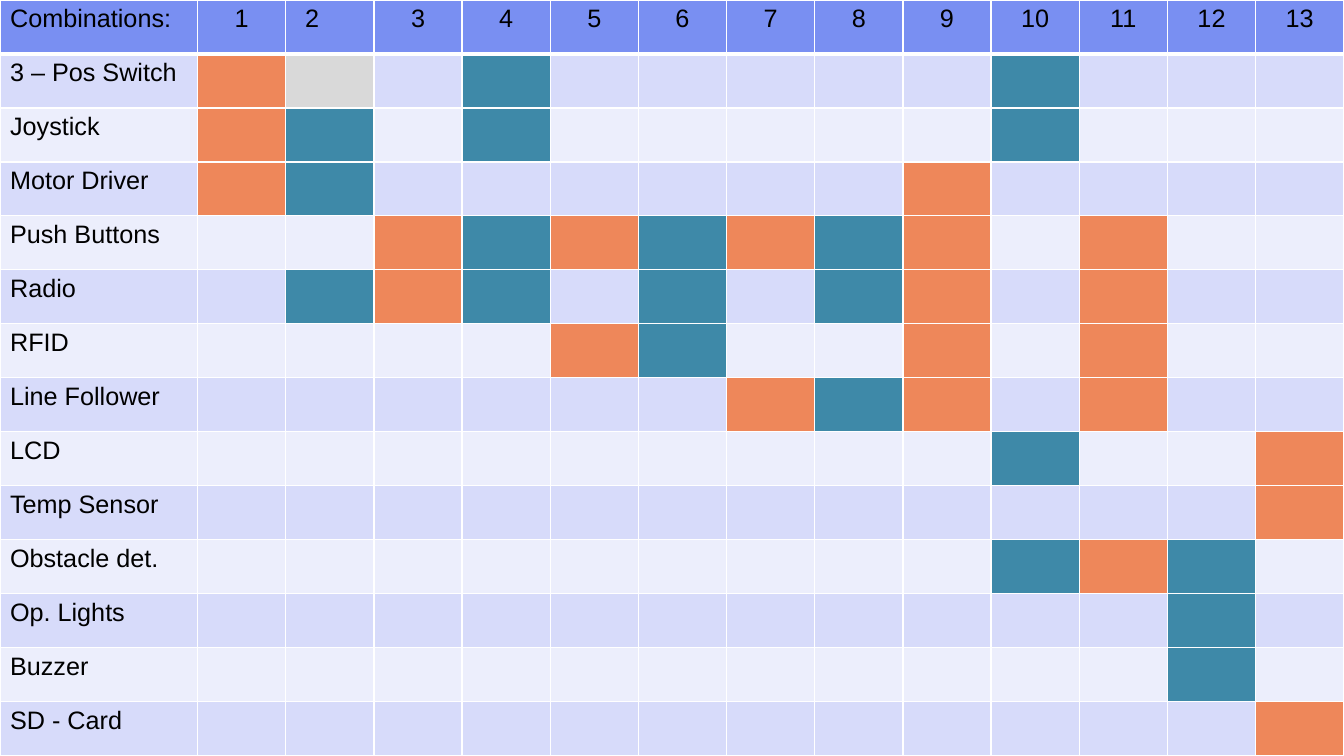
from pptx import Presentation
from pptx.dml.color import RGBColor
from pptx.enum.text import PP_ALIGN
from pptx.oxml.ns import qn
from pptx.util import Inches, Pt
from lxml import etree

LEFT, CENTER = PP_ALIGN.LEFT, PP_ALIGN.CENTER
WIDTH, HEIGHT = Inches(13.33), Inches(7.5)
LABEL_WIDTH = Inches(1.96)
COMBINATIONS = 13

COLORS = {
    "background": "000000",
    "text": "000000",
    "border": "FFFFFF",
    "header": "798FF2",
    "odd_row": "D7DBFA",
    "even_row": "ECEEFC",
    "odd_combination": "EE875A",
    "even_combination": "3E89A8",
    "optional": "D9D9D9",
}

# Each part with the combinations that use it
PARTS = [
    ("3 – Pos Switch", {1, 2, 4, 10}),
    ("Joystick", {1, 2, 4, 10}),
    ("Motor Driver", {1, 2, 9}),
    ("Push Buttons", {3, 4, 5, 6, 7, 8, 9, 11}),
    ("Radio", {2, 3, 4, 6, 8, 9, 11}),
    ("RFID", {5, 6, 9, 11}),
    ("Line Follower", {7, 8, 9, 11}),
    ("LCD", {10, 13}),
    ("Temp Sensor", {13}),
    ("Obstacle det.", {10, 11, 12}),
    ("Op. Lights", {12}),
    ("Buzzer", {12}),
    ("SD - Card", {13}),
]
OPTIONAL = ("3 – Pos Switch", 2)


def rgb(name):
    return RGBColor.from_string(COLORS[name])


def set_borders(cell, bottom_width):
    properties = cell._tc.get_or_add_tcPr()
    for side in ("lnL", "lnR", "lnT", "lnB"):
        width = bottom_width if side == "lnB" else 1
        line = etree.SubElement(properties, qn("a:" + side), w=str(Pt(width)))
        fill = etree.SubElement(line, qn("a:solidFill"))
        etree.SubElement(fill, qn("a:srgbClr"), val=COLORS["border"])


def style_cell(cell, color, bottom_width=1):
    # Borders come before the fill in the cell properties
    set_borders(cell, bottom_width)
    cell.fill.solid()
    cell.fill.fore_color.rgb = rgb(color)


def write_cell(cell, text, align=LEFT):
    cell.text = text
    para = cell.text_frame.paragraphs[0]
    para.alignment = align
    para.font.name = "Arial"
    para.font.size = Pt(18)
    para.font.bold = False
    para.font.color.rgb = rgb("text")


def cell_color(part, combination, used, row):
    if (part, combination) == OPTIONAL:
        return "optional"
    if combination in used:
        return "odd_combination" if combination % 2 else "even_combination"
    return "odd_row" if row % 2 else "even_row"


def add_matrix(page):
    row_count = len(PARTS) + 1
    frame = page.shapes.add_table(row_count, COMBINATIONS + 1, 0, 0, WIDTH, HEIGHT)
    table = frame.table
    table.first_row = False
    table.horz_banding = False
    for row in table.rows:
        row.height = HEIGHT // row_count
    for index, column in enumerate(table.columns):
        column.width = (WIDTH - LABEL_WIDTH) // COMBINATIONS if index else LABEL_WIDTH

    # Header row
    for index in range(COMBINATIONS + 1):
        cell = table.cell(0, index)
        style_cell(cell, "header", bottom_width=3)
        if index:
            write_cell(cell, str(index), CENTER)
        else:
            write_cell(cell, "Combinations:")
    # The 2 sits left of its column's centre
    table.cell(0, 2).margin_right = Inches(0.45)

    # Part rows
    for row, (part, used) in enumerate(PARTS, start=1):
        for index in range(COMBINATIONS + 1):
            style_cell(table.cell(row, index), cell_color(part, index, used, row))
        write_cell(table.cell(row, 0), part)


def main():
    deck = Presentation()
    deck.slide_width, deck.slide_height = WIDTH, HEIGHT
    page = deck.slides.add_slide(deck.slide_layouts[6])
    page.background.fill.solid()
    page.background.fill.fore_color.rgb = rgb("background")
    add_matrix(page)
    deck.save("out.pptx")


if __name__ == "__main__":
    main()
